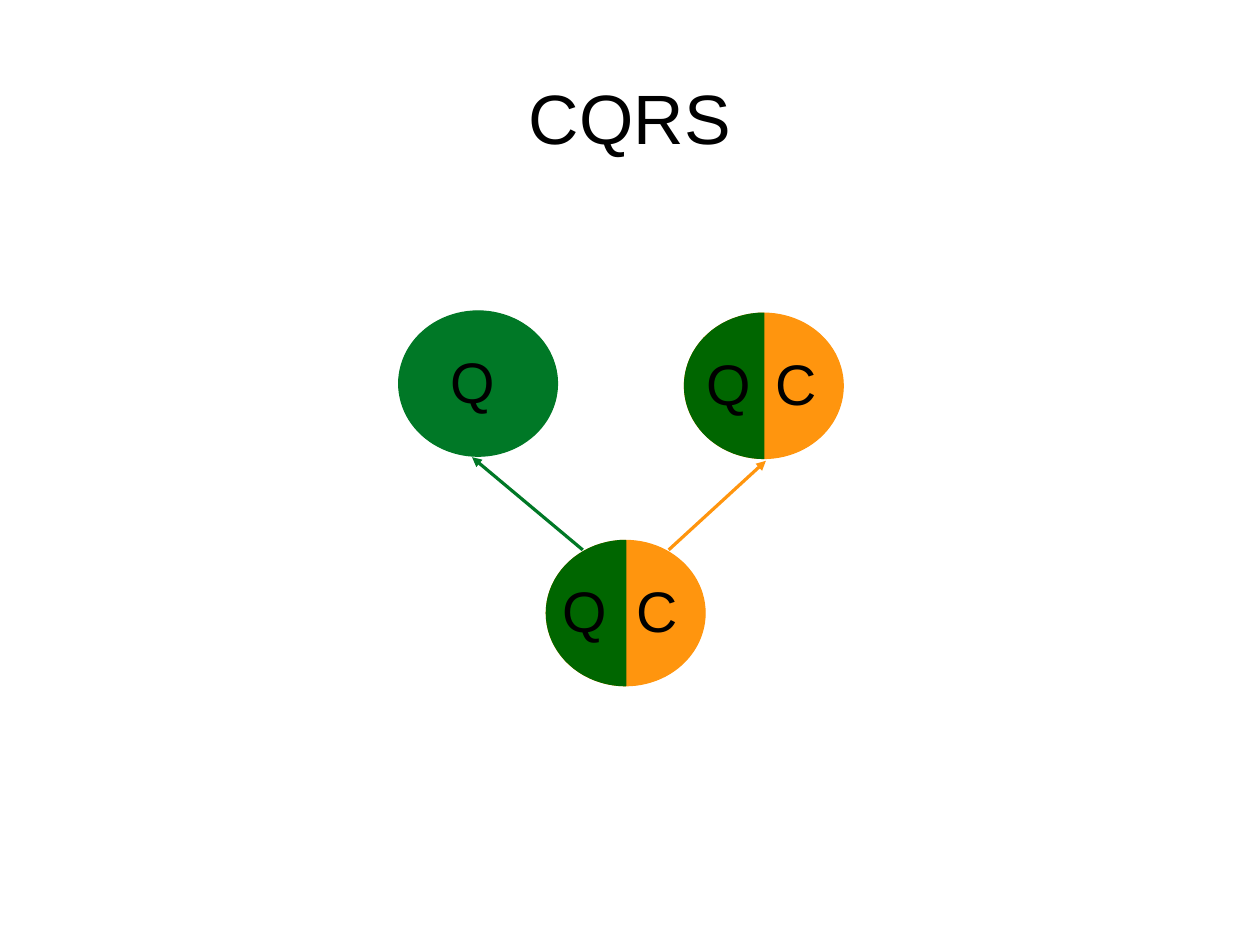
from math import cos, pi, sin
from lxml.etree import SubElement
from pptx import Presentation
from pptx.dml.color import RGBColor
from pptx.enum.shapes import MSO_CONNECTOR, MSO_SHAPE
from pptx.enum.text import MSO_ANCHOR, PP_ALIGN
from pptx.oxml.ns import qn
from pptx.util import Cm, Pt

ORANGE = RGBColor(0xFF, 0x95, 0x0E)
GREEN = RGBColor(0x00, 0x78, 0x26)
DARK = RGBColor(0x00, 0x66, 0x00)
BLACK = RGBColor(0x00, 0x00, 0x00)
WIDE, HIGH = 3.53, 3.23


def write(frame, text, size):
    frame.word_wrap = True
    run = frame.paragraphs[0].add_run()
    run.text = text
    run.font.name = "Arial"
    run.font.size = Pt(size)
    run.font.color.rgb = BLACK


def paint(shape, color):
    shape.shadow.inherit = False
    shape.fill.solid()
    shape.fill.fore_color.rgb = color
    shape.line.color.rgb = color
    shape.line.width = Pt(0)


def add_title(slide, left, top, width, height):
    frame = slide.shapes.add_textbox(Cm(left), Cm(top), Cm(width), Cm(height)).text_frame
    frame.margin_left = frame.margin_right = frame.margin_top = frame.margin_bottom = 0
    frame.vertical_anchor = MSO_ANCHOR.MIDDLE
    frame.paragraphs[0].alignment = PP_ALIGN.CENTER
    write(frame, "CQRS", 44)


def add_disc(slide, left, top, color, labels):
    disc = slide.shapes.add_shape(MSO_SHAPE.OVAL, Cm(left), Cm(top), Cm(WIDE), Cm(HIGH))
    paint(disc, color)
    if len(labels) > 1:
        add_half(slide, left, top)
    for letter, shift in labels:
        box = slide.shapes.add_textbox(Cm(left + shift), Cm(top + 0.66), Cm(1.63), Cm(1.88))
        write(box.text_frame, letter, 36)


def add_half(slide, left, top):
    steps = 40
    arc = [
        (Cm(left + WIDE / 2 * (1 - sin(pi * i / steps))),
         Cm(top + HIGH / 2 * (1 - cos(pi * i / steps))))
        for i in range(steps + 1)
    ]
    pen = slide.shapes.build_freeform(*arc[0])
    pen.add_line_segments(arc[1:], close=True)
    paint(pen.convert_to_shape(), DARK)


def add_arrow(slide, start, end, color):
    arrow = slide.shapes.add_connector(
        MSO_CONNECTOR.STRAIGHT, *[Cm(value) for value in start + end])
    arrow.line.color.rgb = color
    arrow.line.width = Pt(0)
    SubElement(arrow.line._get_or_add_ln(), qn("a:tailEnd"), type="triangle")
    SubElement(arrow._element.spPr, qn("a:effectLst"))


def main():
    deck = Presentation()
    deck.slide_width, deck.slide_height = Cm(28), Cm(21)
    slide = deck.slides.add_slide(deck.slide_layouts[6])
    add_title(slide, 1.4, 0.84, 25.2, 3.5)
    add_disc(slide, 12.14, 12.01, ORANGE, [("Q", 0.1), ("C", 1.75)])
    add_disc(slide, 15.21, 6.96, ORANGE, [("Q", 0.23), ("C", 1.78)])
    add_disc(slide, 8.86, 6.91, GREEN, [("Q", 0.91)])
    add_arrow(slide, (14.86, 12.22), (17.02, 10.24), ORANGE)
    add_arrow(slide, (12.95, 12.22), (10.49, 10.16), GREEN)
    deck.save("out.pptx")


if __name__ == "__main__":
    main()
